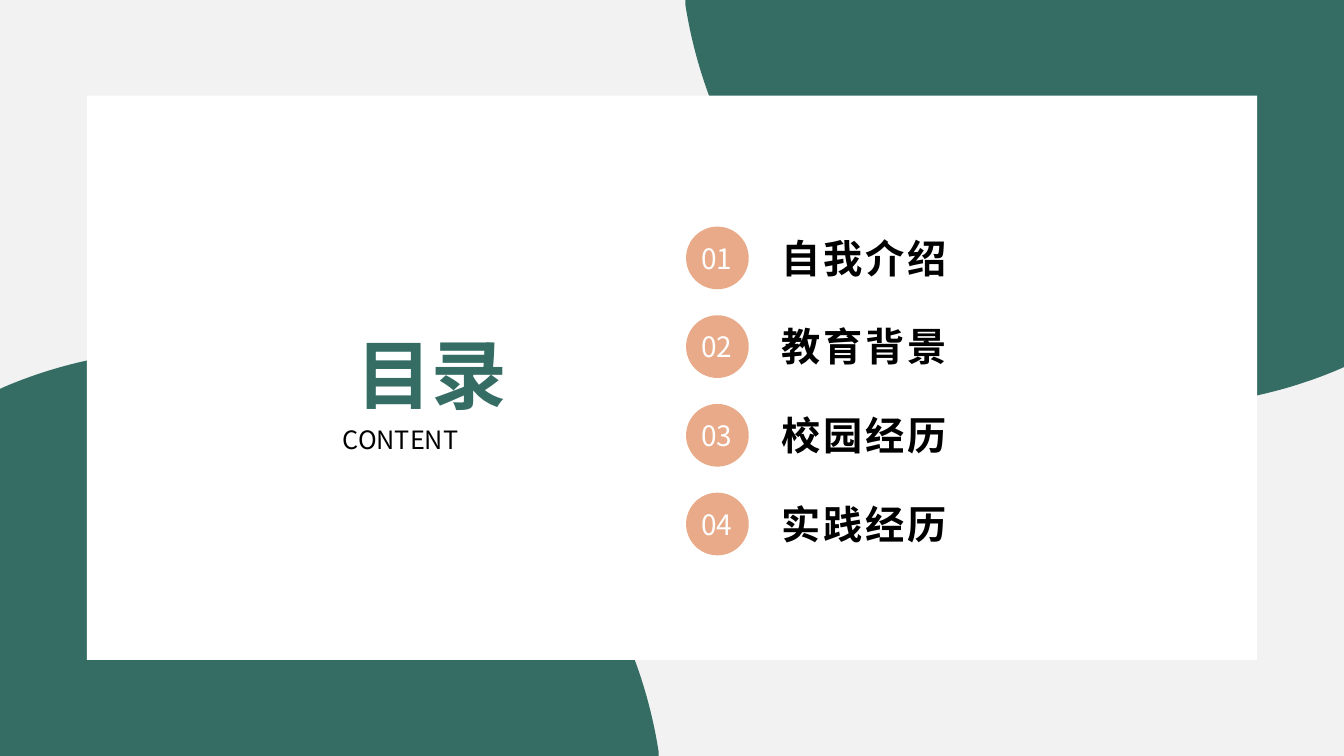
from lxml.etree import SubElement
from pptx import Presentation
from pptx.dml.color import RGBColor
from pptx.enum.shapes import MSO_SHAPE
from pptx.enum.text import MSO_ANCHOR, MSO_AUTO_SIZE, PP_ALIGN
from pptx.oxml.ns import qn
from pptx.util import Cm, Pt

FONT = "Noto Sans CJK SC"
GREEN, PEACH, GREY, WHITE, BLACK = "356D64", "E8AA88", "F2F2F2", "FFFFFF", "000000"
W, H = 33.87, 19.05


def paint(fill, color):
    fill.solid()
    fill.fore_color.rgb = RGBColor.from_string(color)


def write(sp, text, size, color, align, bold=False, spacing=0, inset=0.0,
          wrap=True, anchor=MSO_ANCHOR.TOP, fit=MSO_AUTO_SIZE.SHAPE_TO_FIT_TEXT):
    tf = sp.text_frame
    tf.word_wrap, tf.auto_size, tf.vertical_anchor = wrap, fit, anchor
    tf.margin_left = tf.margin_right = Cm(inset)
    tf.margin_top = tf.margin_bottom = Cm(inset / 2)
    p = tf.paragraphs[0]
    p.alignment = align
    r = p.add_run()
    r.text = text
    r.font.name, r.font.size, r.font.bold = FONT, Pt(size), bold
    paint(r.font.fill, color)
    rPr = r.font._element
    SubElement(rPr, qn("a:ea")).set("typeface", FONT)
    if spacing:
        rPr.set("spc", str(spacing * 100))


prs = Presentation()
prs.slide_width, prs.slide_height = Cm(W), Cm(H)
s = prs.slides.add_slide(prs.slide_layouts[5])

# Background
background = s.shapes.add_shape(MSO_SHAPE.RECTANGLE, 0, 0, Cm(W), Cm(H))
paint(background.fill, GREY)
solids = [background]

# Corner blob outline: points 3 to 8 are the control points of two Bezier curves
outline = [(W, 0), (17.27, 0), (17.27, 0.1),
           (18.16, 5.84), (23.11, 10.24), (29.11, 10.24),
           (30.76, 10.24), (32.33, 9.91), (33.76, 9.3),
           (W, 9.25)]

# Top right blob, and the same blob turned half round at bottom left
for points in (outline, [(W - x, H - y) for x, y in outline]):
    corners = [(Cm(x), Cm(y)) for x, y in points]
    builder = s.shapes.build_freeform(*corners[0])
    builder.add_line_segments(corners[1:], close=True)
    blob = builder.convert_to_shape()
    lines = list(blob.element.iter(qn("a:lnTo")))
    for first in (2, 5):
        curve = lines[first].makeelement(qn("a:cubicBezTo"))
        lines[first].addprevious(curve)
        for line in lines[first:first + 3]:
            curve.append(line[0])
            line.getparent().remove(line)
    paint(blob.fill, GREEN)
    solids.append(blob)

# White card
card = s.shapes.add_shape(MSO_SHAPE.RECTANGLE, Cm(2.19), Cm(2.41), Cm(29.49), Cm(14.22))
paint(card.fill, WHITE)
solids.append(card)

# Numbered chapters
for i, chapter in enumerate(["自我介绍", "教育背景", "校园经历", "实践经历"]):
    top = 5.71 + 2.235 * i
    circle = s.shapes.add_shape(MSO_SHAPE.OVAL, Cm(17.29), Cm(top), Cm(1.58), Cm(1.58))
    paint(circle.fill, PEACH)
    solids.append(circle)
    label = s.shapes.add_textbox(Cm(19.45), Cm(top + 0.06), Cm(9.63), Cm(1.45))
    write(label, chapter, 28, BLACK, PP_ALIGN.LEFT, bold=True, spacing=2, inset=0.25)
    number = s.shapes.add_textbox(Cm(17.18), Cm(top + 0.13), Cm(1.78), Cm(1.32))
    write(number, f"{i + 1:02d}", 20, WHITE, PP_ALIGN.CENTER,
          anchor=MSO_ANCHOR.MIDDLE, fit=MSO_AUTO_SIZE.NONE)

# Title, brought in front of the card, and its subtitle
title = s.shapes.title
s.shapes.element.append(title.element)
title.left, title.top, title.width, title.height = Cm(8.96), Cm(8.26), Cm(3.84), Cm(2.31)
write(title, "目录", 54, GREEN, PP_ALIGN.CENTER, bold=True, wrap=False)
subtitle = s.shapes.add_textbox(Cm(8.64), Cm(10.69), Cm(4.45), Cm(0.76))
write(subtitle, "CONTENT", 18, BLACK, PP_ALIGN.JUSTIFY)

# Flat shapes without outline or shadow
for sp in solids:
    sp.line.fill.background()
    sp.shadow.inherit = False

prs.save("out.pptx")
